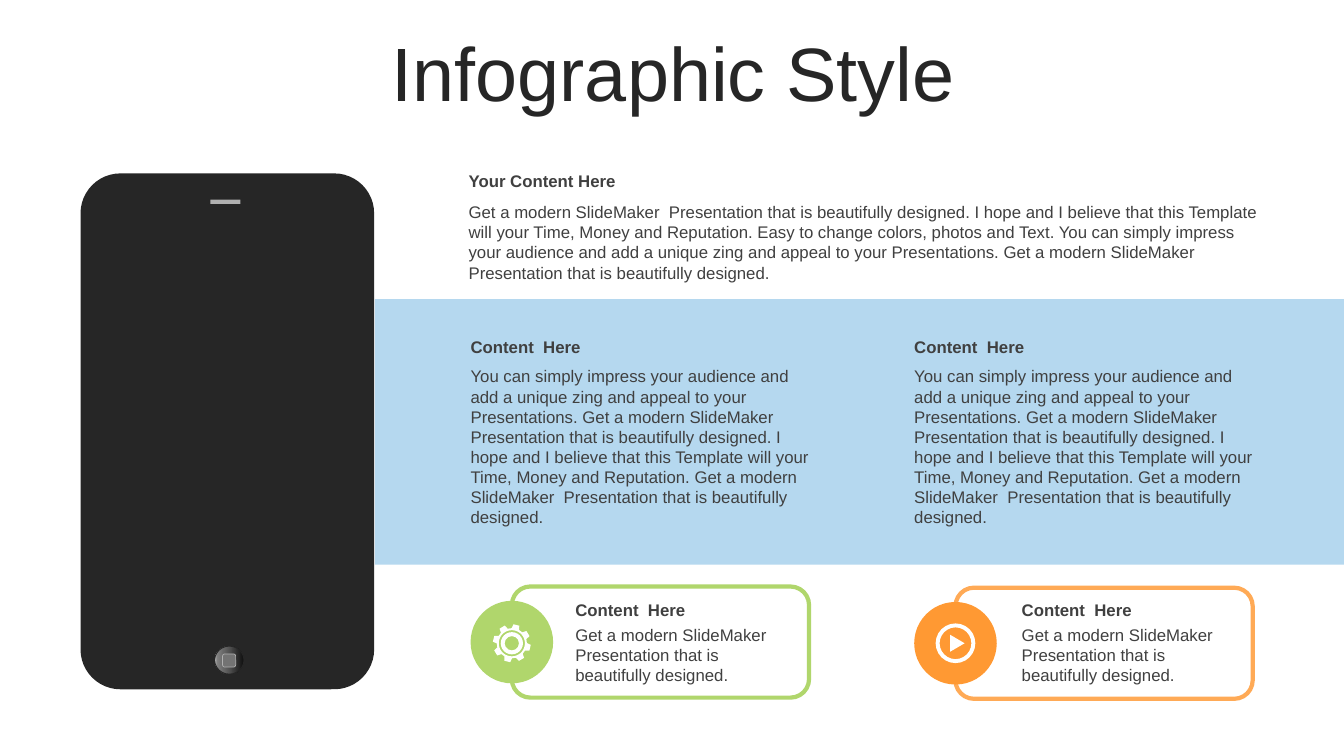
import math
from lxml import etree
from pptx import Presentation
from pptx import util as u
from pptx.dml.color import RGBColor
from pptx.enum import shapes, text
from pptx.oxml import ns

BAND_BLUE = RGBColor(0x96, 0xC8, 0xE9)
INK = RGBColor(0x26, 0x26, 0x26)
BODY_GREY = RGBColor(0x40, 0x40, 0x40)
SILVER = RGBColor(0xB0, 0xB0, 0xB0)
BUTTON_GREY = RGBColor(0x73, 0x73, 0x73)
GREEN = RGBColor(0xB0, 0xD6, 0x6C)
ORANGE = RGBColor(0xFF, 0x99, 0x33)
ORANGE_LINE = RGBColor(0xFF, 0x87, 0x0F)
WHITE = RGBColor(0xFF, 0xFF, 0xFF)
BUTTON_STOPS = [(0, "0F0F0F"), (56, "595959"), (91, "808080"), (100, "BFBFBF")]

HEADING = "Content  Here"
INTRO = (
    "Get a modern SlideMaker  Presentation that is beautifully designed. "
    "I hope and I believe that this Template will your Time, Money and Reputation. "
    "Easy to change colors, photos and Text. You can simply impress your audience "
    "and add a unique zing and appeal to your Presentations. "
    "Get a modern SlideMaker  Presentation that is beautifully designed."
)
COLUMN = (
    "You can simply impress your audience and add a unique zing and appeal to your "
    "Presentations. Get a modern SlideMaker  Presentation that is beautifully designed. "
    "I hope and I believe that this Template will your Time, Money and Reputation. "
    "Get a modern SlideMaker  Presentation that is beautifully designed."
)
CALLOUT = "Get a modern SlideMaker  Presentation that is beautifully designed."

KIND = shapes.MSO_SHAPE


class Infographic:
    font = "Arial"
    size = u.Pt(12)

    def __init__(self, slide):
        self.slide = slide

    def style(self, paragraph, size, color, bold=False):
        for run in paragraph.runs:
            run.font.name = self.font
            run.font.size = size
            run.font.bold = bold
            run.font.color.rgb = color

    def title(self, wording, left, top, width, height):
        heading = self.slide.shapes.title
        heading.left, heading.top = u.Cm(left), u.Cm(top)
        heading.width, heading.height = u.Cm(width), u.Cm(height)
        frame = heading.text_frame
        frame.text = wording
        frame.auto_size = text.MSO_AUTO_SIZE.NONE
        frame.vertical_anchor = text.MSO_ANCHOR.MIDDLE
        line = frame.paragraphs[0]
        line.alignment = text.PP_ALIGN.CENTER
        line.line_spacing = 0.9
        self.style(line, u.Pt(54), INK)

    def words(self, wording, left, top, width, height, bold=False):
        box = self.slide.shapes.add_textbox(
            u.Cm(left), u.Cm(top), u.Cm(width), u.Cm(height))
        frame = box.text_frame
        frame.word_wrap = True
        frame.auto_size = text.MSO_AUTO_SIZE.SHAPE_TO_FIT_TEXT
        frame.text = wording
        self.style(frame.paragraphs[0], self.size, BODY_GREY, bold)

    def paint(self, shape, fill, line=None, weight=0, alpha=100):
        shape.shadow.inherit = False
        if fill is None:
            shape.fill.background()
        else:
            shape.fill.solid()
            shape.fill.fore_color.rgb = fill
        if line is None:
            shape.line.fill.background()
        else:
            shape.line.color.rgb = line
            shape.line.width = u.Pt(weight)
        if alpha < 100:
            color = next(shape._element.spPr.iter(ns.qn("a:srgbClr")))
            etree.SubElement(color, ns.qn("a:alpha"), val=str(alpha * 1000))
        return shape

    def shape(self, kind, left, top, width, height, fill, adjust=None, **look):
        figure = self.slide.shapes.add_shape(
            kind, u.Cm(left), u.Cm(top), u.Cm(width), u.Cm(height))
        if adjust is not None:
            figure.adjustments[0] = adjust
        return self.paint(figure, fill, **look)

    def ring(self, x, y, radius, thickness):
        self.shape(KIND.DONUT, x - radius, y - radius, 2 * radius, 2 * radius,
                   WHITE, adjust=thickness / (2 * radius))

    def outline(self, x, y, *contours):
        placed = [[(u.Cm(x + r * math.cos(math.radians(a))),
                    u.Cm(y + r * math.sin(math.radians(a)))) for r, a in contour]
                  for contour in contours]
        builder = self.slide.shapes.build_freeform(*placed[0][0])
        builder.add_line_segments(placed[0][1:], close=True)
        for contour in placed[1:]:
            builder.move_to(*contour[0])
            builder.add_line_segments(contour[1:], close=True)
        self.paint(builder.convert_to_shape(), WHITE)

    def gear(self, x, y):
        tooth = [(0.38, -15), (0.48, -9), (0.48, 9), (0.38, 15)]
        rim = [(r, 45 * n - 76 + a) for n in range(8) for r, a in tooth]
        hole = [(0.33, -a) for a in range(0, 360, 10)]
        self.outline(x, y, rim, hole)
        self.ring(x, y, 0.28, 0.1)

    def play(self, x, y):
        self.ring(x, y, 0.5, 0.1)
        self.outline(x, y, [(0.23, 0), (0.25, 122), (0.25, 238)])

    def phone(self):
        self.shape(KIND.ROUNDED_RECTANGLE, 2.03, 4.37, 7.4, 13, INK, adjust=0.136)
        self.shape(KIND.RECTANGLE, 5.3, 5.03, 0.76, 0.11, SILVER)
        button = self.shape(KIND.OVAL, 5.41, 16.28, 0.74, 0.71, INK, line=INK)
        button.fill.gradient()
        button.fill.gradient_angle = 180
        stops = next(button._element.spPr.iter(ns.qn("a:gsLst")))
        for stop in list(stops):
            stops.remove(stop)
        for position, color in BUTTON_STOPS:
            stop = etree.SubElement(stops, ns.qn("a:gs"), pos=str(position * 1000))
            etree.SubElement(stop, ns.qn("a:srgbClr"), val=color)
        self.shape(KIND.ROUNDED_RECTANGLE, 5.61, 16.48, 0.33, 0.33, BUTTON_GREY,
                   line=SILVER, weight=0.5)

    def callout(self, left, top, text_left, color, line, alpha, icon):
        self.shape(KIND.ROUNDED_RECTANGLE, left + 1.04, top, 7.49, 2.8, None,
                   line=line, weight=3, alpha=alpha)
        self.shape(KIND.OVAL, left, top + 0.36, 2.08, 2.08, color)
        self.words(HEADING, text_left, 14.99, 5.82, 0.76, bold=True)
        self.words(CALLOUT, text_left, 15.62, 5.82, 1.8)
        icon(left + 1.04, 16.21)


def main():
    deck = Presentation()
    deck.slide_width, deck.slide_height = u.Cm(33.87), u.Cm(19.05)
    page = Infographic(deck.slides.add_slide(deck.slide_layouts[5]))

    page.title("Infographic Style", 0.89, 0.94, 32.16, 2.01)
    page.shape(KIND.RECTANGLE, 9.45, 7.54, 24.42, 6.69, BAND_BLUE, alpha=70)
    page.phone()

    page.words("Your Content Here", 11.56, 4.19, 20.57, 0.76, bold=True)
    page.words(INTRO, 11.56, 4.96, 20.57, 2.31)
    for column_left in (11.61, 22.79):
        page.words(HEADING, column_left, 8.36, 9.09, 0.76, bold=True)
        page.words(COLUMN, column_left, 9.1, 9.09, 4.37)

    page.callout(11.86, 14.78, 14.25, GREEN, GREEN, 100, page.gear)
    page.callout(23.04, 14.81, 25.5, ORANGE, ORANGE_LINE, 70, page.play)
    deck.save("out.pptx")


if __name__ == "__main__":
    main()
